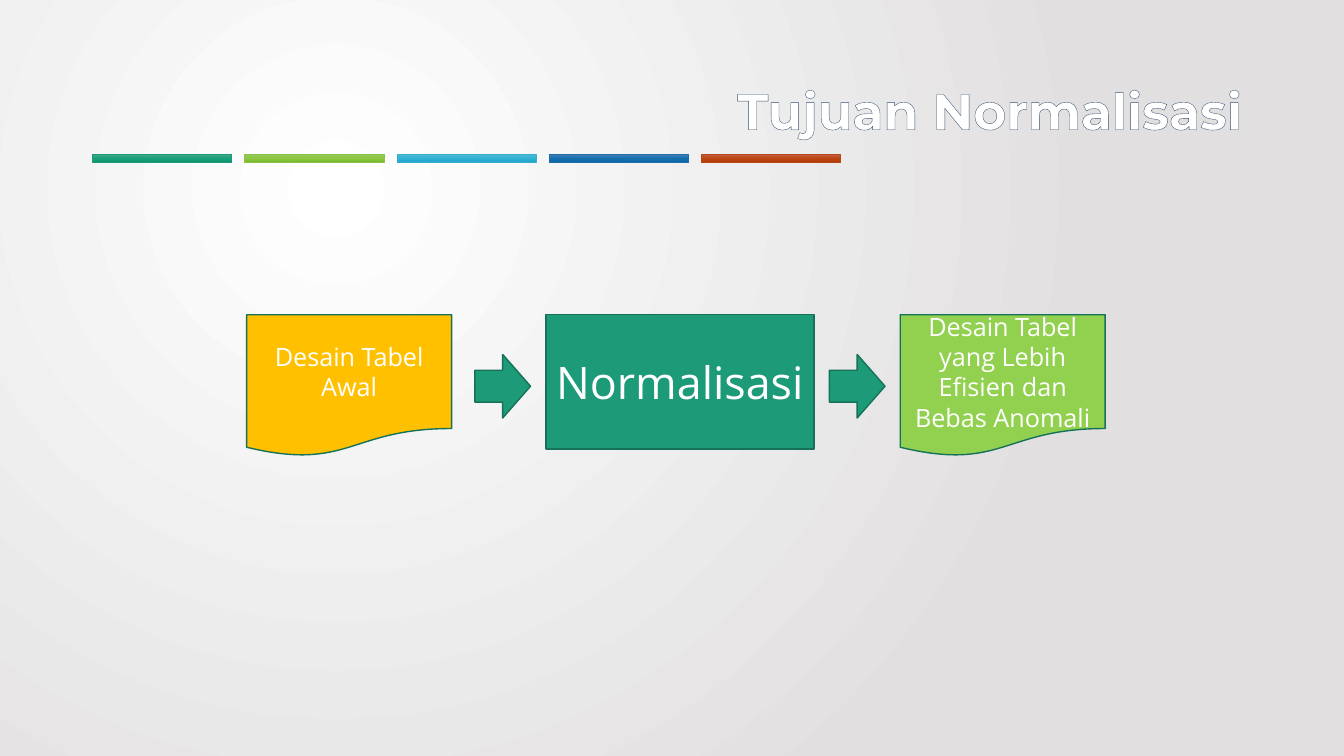
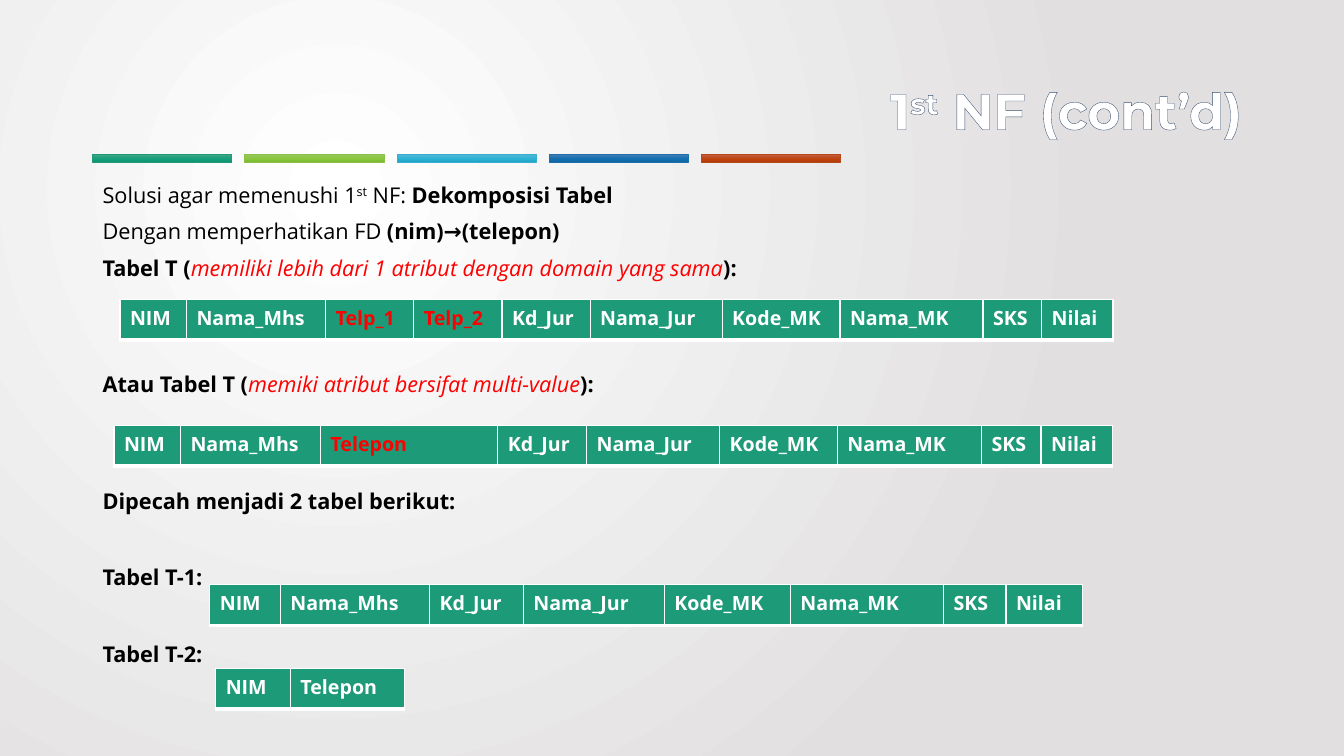
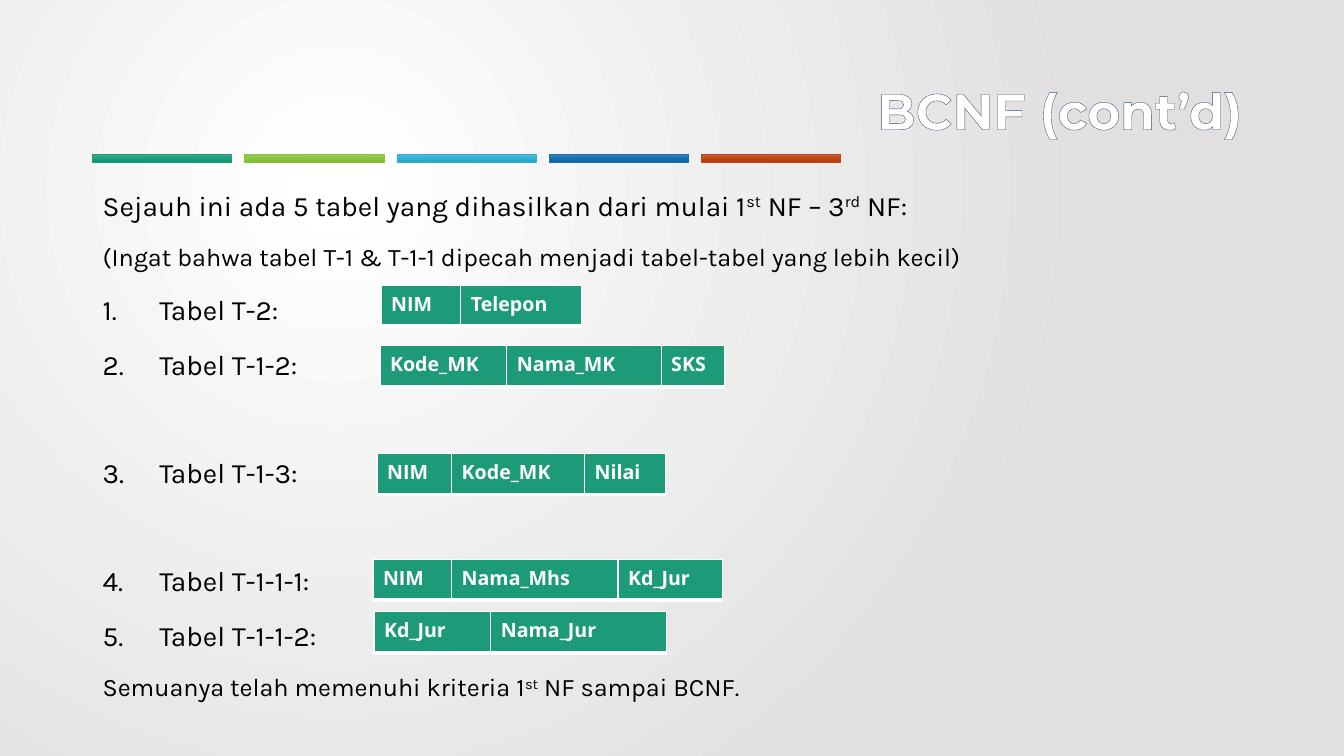
from dataclasses import dataclass
from typing import Optional

from lxml.etree import SubElement
from pptx import Presentation
from pptx.dml.color import RGBColor
from pptx.enum.shapes import MSO_SHAPE
from pptx.enum.text import MSO_ANCHOR, PP_ALIGN
from pptx.oxml.ns import qn
from pptx.util import Pt

WHITE, BLACK, RED = "FFFFFF", "000000", "FF0000"
GREEN, EDGE, AMBER, LIME = "1D9A78", "157259", "FFC000", "92D050"
INK = "3A5274"
SANS, HEAD, KARLA = "Open Sans", "Montserrat", "Karla"


@dataclass
class Bar:
    stops: tuple[str, ...]
    line: str


@dataclass
class Run:
    text: str
    bold: Optional[bool] = None
    slant: Optional[bool] = None
    hue: Optional[str] = None
    sup: bool = False


@dataclass
class Para:
    runs: list[Run]
    size: float
    lead: float
    bold: bool = False
    num: bool = False


@dataclass
class Body:
    font: str
    height: float
    indent: float
    pitch: float
    paras: list[Para]


@dataclass
class Node:
    kind: MSO_SHAPE
    left: float
    top: float
    width: float
    height: float
    fill: str
    text: str = ""
    size: float = 18


@dataclass
class Grid:
    left: float
    top: float
    cols: list[tuple[str, float]]
    red: tuple[str, ...] = ()


BARS = [
    Bar(("4EA788", "17A07B", "0F9470"), GREEN),
    Bar(("98C862", "8CC73F", "7DB831"), "8BC145"),
    Bar(("59B8D4", "2EB3D6", "21A4C6"), "36AFCE"),
    Bar(("4E80B5", "1670B0", "0D65A3"), "1D6FA9"),
    Bar(("C2634D", "BF4611", "B13B08"), "B74919"),
]


def rgb(code: str) -> RGBColor:
    return RGBColor.from_string(code)


def paint(node, code: str) -> None:
    fill = SubElement(node, qn("a:solidFill"))
    SubElement(fill, qn("a:srgbClr"), val=code)


def blend(node, codes: tuple[str, ...]) -> None:
    for child in list(node):
        node.remove(child)
    stops = SubElement(node, qn("a:gsLst"))
    for i, code in enumerate(codes):
        pos = 100000 * i // (len(codes) - 1)
        stop = SubElement(stops, qn("a:gs"), pos=str(pos))
        SubElement(stop, qn("a:srgbClr"), val=code)


def backdrop(deck) -> None:
    master = deck.slide_master
    master.background.fill.gradient()
    node = master.element.xpath("./p:cSld/p:bg//a:gradFill")[0]
    blend(node, (WHITE, "E1DFDF"))
    focus = SubElement(node, qn("a:path"))
    focus.set("path", "circle")
    SubElement(focus, qn("a:fillToRect"), l="50000", t="50000", r="100000", b="100000")


def style(font, name: str, size: float, hue: str, bold: bool = False) -> None:
    font.name, font.size, font.bold = name, Pt(size), bold
    font.color.rgb = rgb(hue)


def write(para, runs: list[Run]) -> None:
    for item in runs:
        run = para.add_run()
        run.text = item.text
        if item.bold is not None:
            run.font.bold = item.bold
        if item.slant is not None:
            run.font.italic = item.slant
        if item.hue:
            run.font.color.rgb = rgb(item.hue)
        if item.sup:
            run.font._element.set("baseline", "30000")


def box(slide, left: float, top: float, width: float, height: float):
    shape = slide.shapes.add_textbox(Pt(left), Pt(top), Pt(width), Pt(height))
    shape.text_frame.word_wrap = True
    return shape.text_frame


def add_bars(slide) -> None:
    for i, bar in enumerate(BARS):
        shape = slide.shapes.add_shape(
            MSO_SHAPE.RECTANGLE, Pt(66.2 + 108.7 * i), Pt(110.2), Pt(99.4), Pt(5.8)
        )
        shape.shadow.inherit = False
        shape.fill.gradient()
        node = shape.element.spPr.find(qn("a:gradFill"))
        blend(node, bar.stops)
        SubElement(node, qn("a:lin"), ang="5400000", scaled="0")
        shape.line.color.rgb = rgb(bar.line)
        shape.line.width = Pt(0.5)


def add_title(slide, runs: list[Run]) -> None:
    frame = box(slide, 66.2, 28.8, 828, 104.4)
    frame.vertical_anchor = MSO_ANCHOR.MIDDLE
    para = frame.paragraphs[0]
    para.alignment, para.line_spacing = PP_ALIGN.RIGHT, 0.9
    style(para.font, HEAD, 36, WHITE, True)
    write(para, runs)
    for run in para.runs:
        props = run.font._element
        line = SubElement(props, qn("a:ln"), w=str(Pt(1)))
        paint(line, INK)
        props.insert(0, line)


def add_body(slide, body: Body) -> None:
    frame = box(slide, 66.2, 126, 738, body.height)
    for i, item in enumerate(body.paras):
        para = frame.add_paragraph() if i else frame.paragraphs[0]
        para.line_spacing = body.pitch
        if i:
            para.space_before = Pt(item.lead)
        props = para._p.get_or_add_pPr()
        props.set("marL", str(Pt(body.indent)))
        props.set("indent", str(-Pt(body.indent)))
        if item.num:
            SubElement(props, qn("a:buFont"), typeface="+mj-lt")
            SubElement(props, qn("a:buAutoNum"), type="arabicPeriod")
        style(para.font, body.font, item.size, BLACK, item.bold)
        write(para, item.runs)


def add_node(slide, node: Node) -> None:
    shape = slide.shapes.add_shape(
        node.kind, Pt(node.left), Pt(node.top), Pt(node.width), Pt(node.height)
    )
    shape.shadow.inherit = False
    shape.fill.solid()
    shape.fill.fore_color.rgb = rgb(node.fill)
    shape.line.color.rgb = rgb(EDGE)
    shape.line.width = Pt(1)
    if node.text:
        frame = shape.text_frame
        frame.word_wrap = True
        frame.vertical_anchor = MSO_ANCHOR.MIDDLE
        para = frame.paragraphs[0]
        para.alignment = PP_ALIGN.CENTER
        style(para.font, SANS, node.size, WHITE)
        write(para, [Run(node.text)])


def add_grid(slide, grid: Grid) -> None:
    total = sum(width for _, width in grid.cols)
    table = slide.shapes.add_table(
        1, len(grid.cols), Pt(grid.left), Pt(grid.top), Pt(total), Pt(29.2)
    ).table
    table.first_row = table.horz_banding = False
    for i, (name, width) in enumerate(grid.cols):
        table.columns[i].width = Pt(width)
        cell = table.cell(0, i)
        props = cell._tc.get_or_add_tcPr()
        for side, weight in (("L", 1), ("R", 1), ("T", 1), ("B", 3)):
            paint(SubElement(props, qn(f"a:ln{side}"), w=str(Pt(weight))), WHITE)
        cell.fill.solid()
        cell.fill.fore_color.rgb = rgb(GREEN)
        para = cell.text_frame.paragraphs[0]
        style(para.font, SANS, 14, RED if name in grid.red else WHITE, True)
        write(para, [Run(name)])


def start(deck, title: list[Run]):
    slide = deck.slides.add_slide(deck.slide_layouts[6])
    add_bars(slide)
    add_title(slide, title)
    return slide


def goal(deck) -> None:
    slide = start(deck, [Run("Tujuan Normalisasi")])
    final = "Desain Tabel yang Lebih Efisien dan Bebas Anomali"
    arrow, sheet = MSO_SHAPE.RIGHT_ARROW, MSO_SHAPE.FLOWCHART_DOCUMENT
    for node in (
        Node(MSO_SHAPE.FLOWCHART_PROCESS, 390, 224.8, 191.4, 96, GREEN, "Normalisasi", 32),
        Node(arrow, 339.2, 253.2, 39.8, 45.4, GREEN),
        Node(arrow, 592.4, 253.2, 39.8, 45.4, GREEN),
        Node(sheet, 176.2, 224.8, 146.4, 101.4, AMBER, "Desain Tabel Awal"),
        Node(sheet, 643, 224.8, 146.4, 101.4, LIME, final),
    ):
        add_node(slide, node)


def first(deck) -> None:
    slide = start(deck, [Run("1"), Run("st", sup=True), Run(" NF (cont’d)")])
    size, near, skip = 15.5, 7.5, 28.6

    def line(runs: list[Run], gaps: int = 0, bold: bool = True) -> Para:
        return Para(runs, size, near + skip * gaps, bold)

    def note(lead: str, text: str) -> list[Run]:
        return [Run(lead), Run(text, False, True, RED), Run("):")]

    add_body(slide, Body(SANS, 380, 18, 1, [
        line([Run("Solusi agar memenushi 1"), Run("st", sup=True), Run(" NF: "),
              Run("Dekomposisi Tabel", True)], bold=False),
        line([Run("Dengan memperhatikan FD "), Run("(nim)→(telepon)", True)], bold=False),
        line(note("Tabel T (", "memiliki lebih dari 1 atribut dengan domain yang sama")),
        line(note("Atau Tabel T (", "memiki atribut bersifat multi-value"), 2),
        line([Run("Dipecah menjadi 2 tabel berikut:")], 2),
        line([Run("Tabel T-1:")], 1),
        line([Run("Tabel T-2:")], 1),
    ]))
    for grid in (
        Grid(149.8, 417.6, [
            ("NIM", 50.4), ("Nama_Mhs", 106.6), ("Kd_Jur", 67), ("Nama_Jur", 100.8),
            ("Kode_MK", 90), ("Nama_MK", 109.4), ("SKS", 44.6), ("Nilai", 54.7)]),
        Grid(154.1, 477.4, [("NIM", 53.3), ("Telepon", 81.4)]),
        Grid(85.7, 213.8, [
            ("NIM", 47.5), ("Nama_Mhs", 99.4), ("Telp_1", 63), ("Telp_2", 63),
            ("Kd_Jur", 63), ("Nama_Jur", 94.3), ("Kode_MK", 84.2),
            ("Nama_MK", 102.2), ("SKS", 41.8), ("Nilai", 51.1)], ("Telp_1", "Telp_2")),
        Grid(81.4, 303.8, [
            ("NIM", 47.5), ("Nama_Mhs", 100), ("Telepon", 126.7), ("Kd_Jur", 63.4),
            ("Nama_Jur", 95), ("Kode_MK", 84.2), ("Nama_MK", 103), ("SKS", 42.5),
            ("Nilai", 51.1)], ("Telepon",)),
    ):
        add_grid(slide, grid)


def last(deck) -> None:
    slide = start(deck, [Run("BCNF (cont’d)")])
    near, far = 10, 48.6

    def item(name: str, lead: float = near) -> Para:
        return Para([Run(name)], 20, lead, num=True)

    hint = "(Ingat bahwa tabel T-1 & T-1-1 dipecah menjadi tabel-tabel yang lebih kecil)"
    add_body(slide, Body(KARLA, 386, 40.5, 1.2, [
        Para([Run("Sejauh ini ada 5 tabel yang dihasilkan dari mulai 1"), Run("st", sup=True),
              Run(" NF – 3"), Run("rd", sup=True), Run(" NF:")], 20, near),
        Para([Run(hint)], 18, near),
        item("Tabel T-2:"),
        item("Tabel T-1-2:"),
        item("Tabel T-1-3:", far),
        item("Tabel T-1-1-1:", far),
        item("Tabel T-1-1-2:"),
        Para([Run("Semuanya telah memenuhi kriteria 1"), Run("st", sup=True),
              Run(" NF sampai BCNF.")], 18, near),
    ]))
    for grid in (
        Grid(272.2, 203.8, [("NIM", 56.9), ("Telepon", 86.4)]),
        Grid(269.3, 324, [("NIM", 53.3), ("Kode_MK", 95), ("Nilai", 57.6)]),
        Grid(271.4, 247, [("Kode_MK", 90.7), ("Nama_MK", 110.2), ("SKS", 45.4)]),
        Grid(266.4, 399.6, [("NIM", 56.2), ("Nama_Mhs", 118.8), ("Kd_Jur", 74.9)]),
        Grid(267.1, 437, [("Kd_Jur", 83.5), ("Nama_Jur", 125.3)]),
    ):
        add_grid(slide, grid)


def main() -> None:
    deck = Presentation()
    deck.slide_width, deck.slide_height = Pt(960), Pt(540)
    backdrop(deck)
    goal(deck)
    first(deck)
    last(deck)
    deck.save("out.pptx")


if __name__ == "__main__":
    main()
